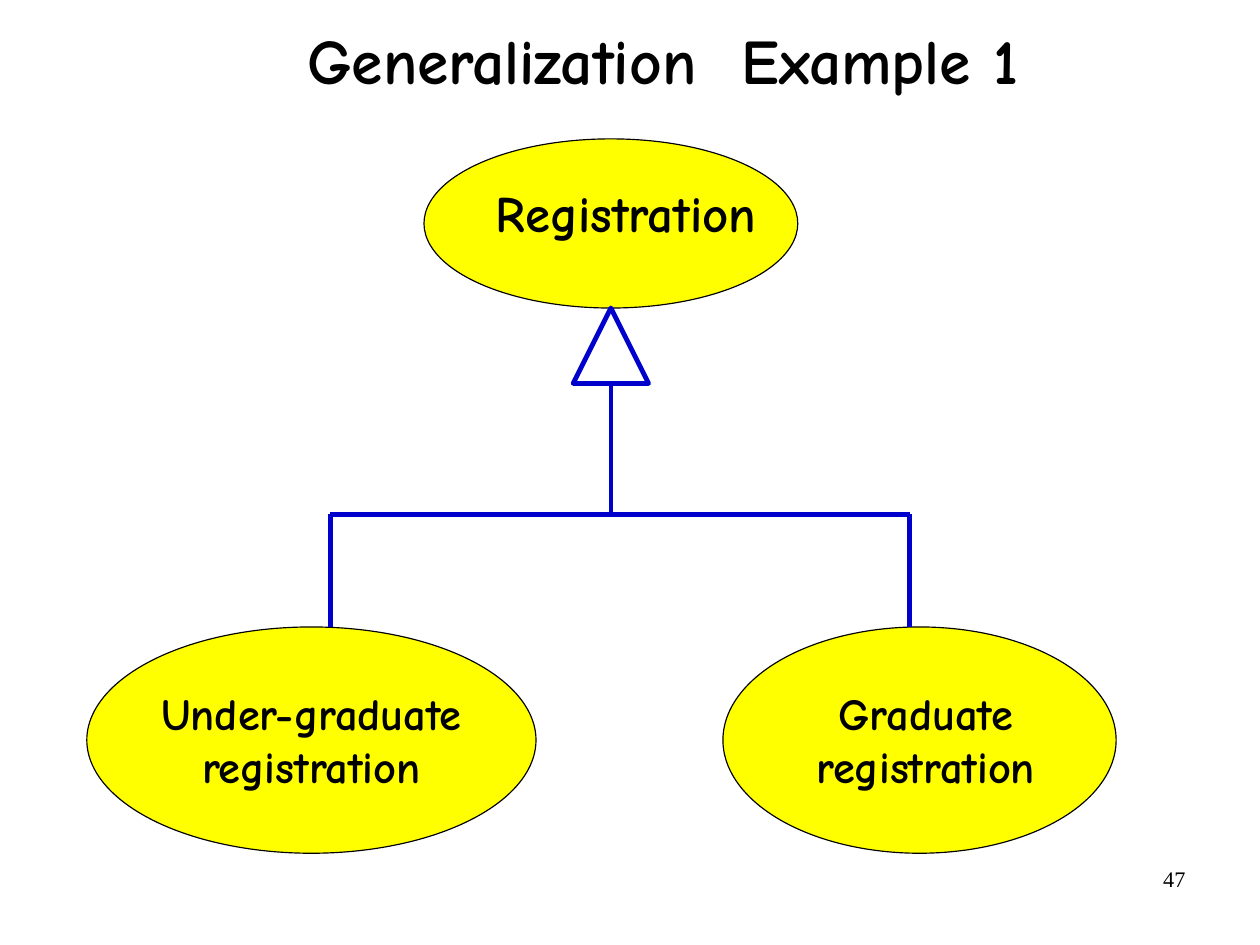
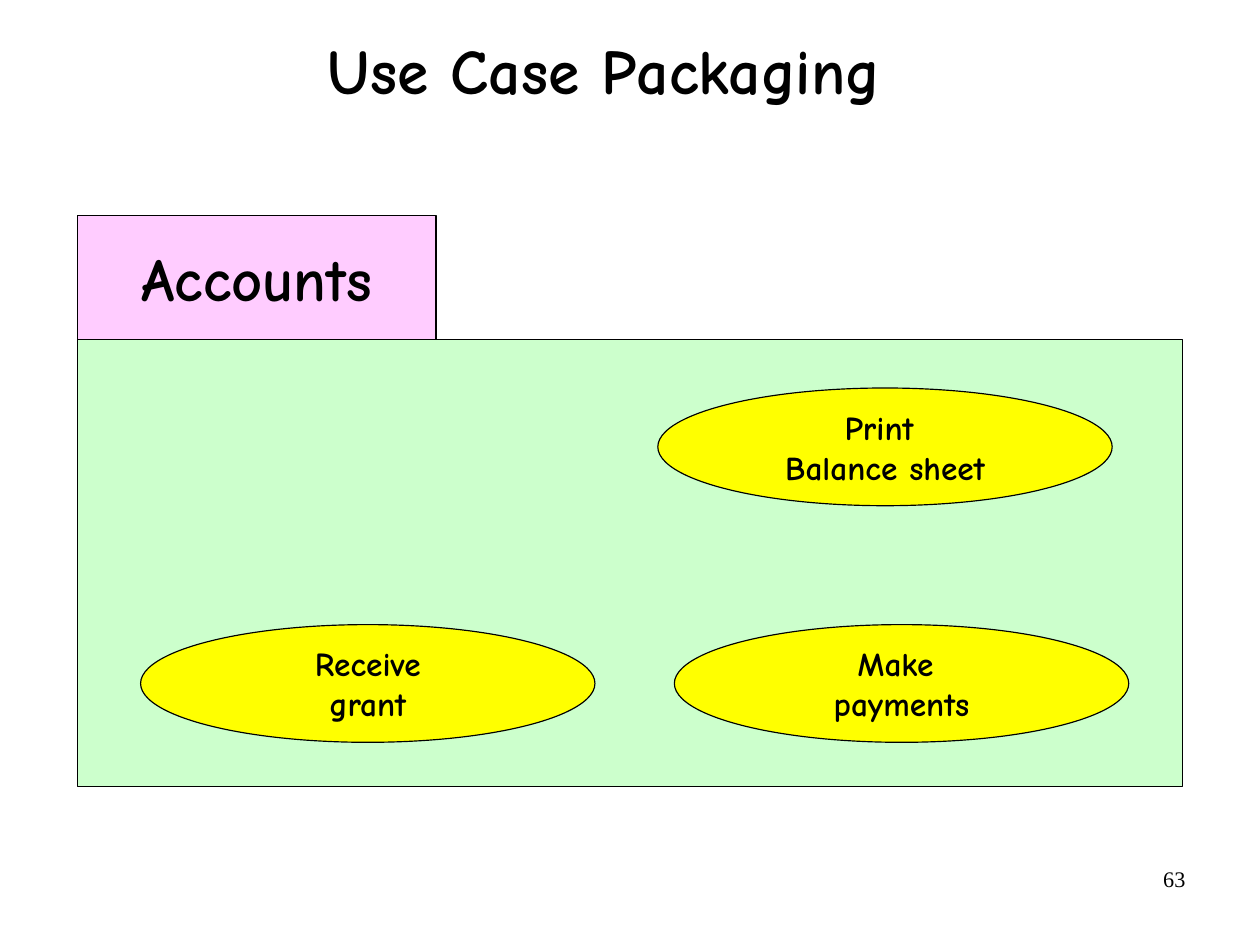
from dataclasses import dataclass

import pptx
import pptx.dml.color
import pptx.enum.shapes
import pptx.enum.text
import pptx.oxml.ns
import pptx.util
from lxml import etree

RGBColor = pptx.dml.color.RGBColor
ShapeType = pptx.enum.shapes.MSO_SHAPE
Align = pptx.enum.text.PP_ALIGN
Anchor = pptx.enum.text.MSO_ANCHOR

BLACK = RGBColor(0x00, 0x00, 0x00)
YELLOW = RGBColor(0xFF, 0xFF, 0x00)
BLUE = RGBColor(0x00, 0x00, 0xCC)
GREEN = RGBColor(0xCC, 0xFF, 0xCC)
PINK = RGBColor(0xFF, 0xCC, 0xFF)

HEADING_FONT = "Comic Neue"
NUMBER_FONT = "Times New Roman"

SLIDE_WIDTH = pptx.util.Cm(28)
SLIDE_HEIGHT = pptx.util.Cm(21)

# The grid has square cells, ten to the inch.
CELL = 0.1


def cells(count: float) -> int:
    return pptx.util.Inches(count * CELL)


@dataclass(frozen=True)
class Box:
    """A rectangle in grid cells."""
    column: float
    row: float
    columns: float
    rows: float

    @property
    def middle(self) -> float:
        return self.column + self.columns / 2

    @property
    def bottom(self) -> float:
        return self.row + self.rows

    def lengths(self) -> tuple[int, ...]:
        return tuple(map(cells, (self.column, self.row, self.columns, self.rows)))


@dataclass(frozen=True)
class Node:
    """A filled figure with a centred label, moved right and up by the nudges."""
    box: Box
    label: str = ""
    size: float = 21
    fill: RGBColor = YELLOW
    kind: ShapeType = ShapeType.OVAL
    nudge_right: float = 0
    nudge_up: float = 0


NUMBER_BOX = Box(79, 75.25, 25.7, 5.7)


def write(shape, text: str, size: float, font_name: str = HEADING_FONT,
          bold: bool = True, alignment: Align = Align.CENTER) -> None:
    shape.text_frame.text = text
    for paragraph in shape.text_frame.paragraphs:
        paragraph.alignment = alignment
        for run in paragraph.runs:
            font = run.font
            font.name, font.size, font.bold = font_name, pptx.util.Pt(size), bold
            font.color.rgb = BLACK


def set_margins(text_frame, left: float = 0, bottom: float = 0) -> None:
    text_frame.margin_left, text_frame.margin_bottom = cells(left), cells(bottom)
    text_frame.margin_right = text_frame.margin_top = 0


def add_node(slide, node: Node) -> None:
    shape = slide.shapes.add_shape(node.kind, *node.box.lengths())
    shape.shadow.inherit = False
    shape.fill.solid()
    shape.fill.fore_color.rgb = node.fill
    shape.line.color.rgb = BLACK
    shape.line.width = pptx.util.Pt(0.75)
    if node.label:
        frame = shape.text_frame
        frame.word_wrap = False
        frame.vertical_anchor = Anchor.MIDDLE
        set_margins(frame, left=2 * node.nudge_right, bottom=2 * node.nudge_up)
        write(shape, node.label, node.size)


def style_branch(line) -> None:
    line.color.rgb = BLUE
    line.width = pptx.util.Pt(3)


def add_branch(slide, start: tuple[float, float], end: tuple[float, float]) -> None:
    connector = slide.shapes.add_connector(
        pptx.enum.shapes.MSO_CONNECTOR.STRAIGHT, *map(cells, start + end))
    style_branch(connector.line)
    properties = connector._element.spPr
    etree.SubElement(properties, pptx.oxml.ns.qn("a:effectLst"))


def add_arrowhead(slide, box: Box) -> None:
    triangle = slide.shapes.add_shape(ShapeType.ISOSCELES_TRIANGLE, *box.lengths())
    triangle.shadow.inherit = False
    triangle.fill.background()
    style_branch(triangle.line)


def add_slide(presentation, title: str, title_box: Box, number: int):
    """Adds a blank slide with the shared title and page number."""
    slide = presentation.slides.add_slide(presentation.slide_layouts[6])
    heading = slide.shapes.add_textbox(*title_box.lengths())
    heading.text_frame.word_wrap = True
    heading.text_frame.vertical_anchor = Anchor.MIDDLE
    set_margins(heading.text_frame)
    write(heading, title, 40)
    heading.text_frame.paragraphs[0].line_spacing = 0.9

    page = slide.shapes.add_textbox(*NUMBER_BOX.lengths())
    page.text_frame.word_wrap = True
    write(page, str(number), 14, NUMBER_FONT, bold=False, alignment=Align.RIGHT)
    return slide


def build_generalization(presentation) -> None:
    slide = add_slide(presentation, "Generalization  Example 1",
                      Box(11, -1.25, 94, 13.7), 47)
    parent = Node(Box(37.1, 12.15, 32.7, 14.8), "Registration", 32,
                  nudge_right=1.35, nudge_up=0.95)
    child_row, child_rows = 54.85, 19.8
    children = (
        Node(Box(7.6, child_row, 39.3, child_rows),
             "Under-graduate\nregistration", 28, nudge_up=0.05),
        Node(Box(63.25, child_row, 34.4, child_rows),
             "Graduate\nregistration", 28, nudge_right=0.55, nudge_up=0.05),
    )
    for node in (parent, *children):
        add_node(slide, node)

    stem, head_size, bar_row = parent.box.middle, 6.6, 45
    branch_columns = (28.9, 79.6)
    head = Box(stem - head_size / 2, parent.box.bottom, head_size, head_size)
    add_arrowhead(slide, head)
    add_branch(slide, (stem, head.bottom), (stem, bar_row))
    add_branch(slide, (branch_columns[0], bar_row), (branch_columns[1], bar_row))
    for column in branch_columns:
        add_branch(slide, (column, bar_row), (column, child_row))


def build_packaging(presentation) -> None:
    slide = add_slide(presentation, "Use Case Packaging ",
                      Box(7, -0.4, 93.7, 13.7), 63)
    left, body_row, tab_rows = 6.8, 29.7, 10.85
    add_node(slide, Node(Box(left, body_row, 96.65, 39.1),
                         fill=GREEN, kind=ShapeType.RECTANGLE))
    use_cases = (
        (12.3, 54.65, "Receive\ngrant"),
        (57.55, 33.95, "Print \nBalance sheet"),
        (59, 54.65, "Make \npayments"),
    )
    for column, row, label in use_cases:
        add_node(slide, Node(Box(column, row, 39.75, 10.3), label))
    add_node(slide, Node(Box(left, body_row - tab_rows, 31.35, tab_rows),
                         "Accounts", 38, PINK, ShapeType.RECTANGLE))


def main() -> None:
    presentation = pptx.Presentation()
    presentation.slide_width = SLIDE_WIDTH
    presentation.slide_height = SLIDE_HEIGHT
    build_generalization(presentation)
    build_packaging(presentation)
    presentation.save("out.pptx")


if __name__ == "__main__":
    main()
